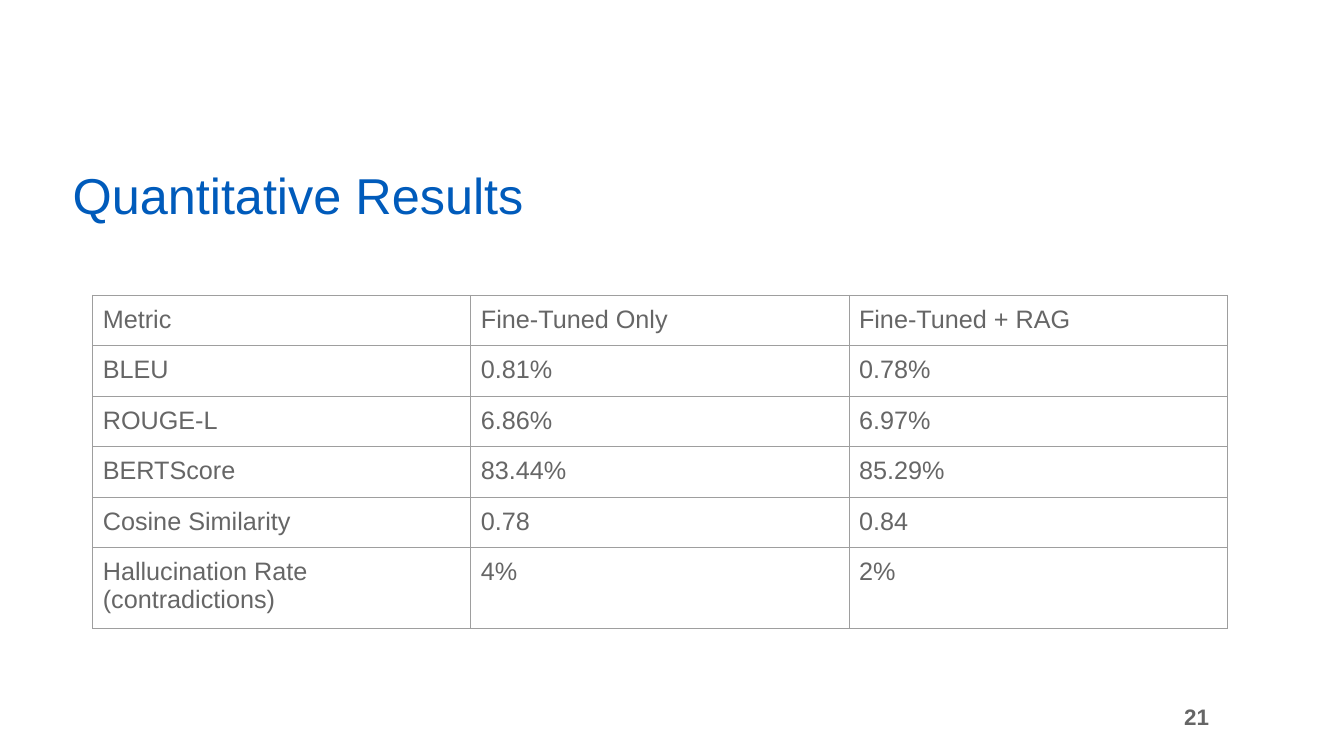
from dataclasses import dataclass

from lxml.etree import SubElement
from pptx import Presentation
from pptx.dml.color import RGBColor
from pptx.enum.text import MSO_ANCHOR as Anchor, PP_ALIGN as Align
from pptx.oxml.ns import qn
from pptx.util import Inches, Pt


@dataclass(frozen=True)
class Theme:
    font: str = "Arial"
    title_color: str = "005BBB"
    text_color: str = "666666"
    border_color: str = "9E9E9E"
    title_size: int = 36
    table_size: int = 18
    number_size: int = 16
    border_width: float = 0.75


RESULTS = [
    ("Metric", "Fine-Tuned Only", "Fine-Tuned + RAG"),
    ("BLEU", "0.81%", "0.78%"),
    ("ROUGE-L", "6.86%", "6.97%"),
    ("BERTScore", "83.44%", "85.29%"),
    ("Cosine Similarity", "0.78", "0.84"),
    ("Hallucination Rate (contradictions)", "4%", "2%"),
]


class SlideBuilder:
    """Adds styled elements to one slide."""

    def __init__(self, slide, theme):
        self.slide = slide
        self.theme = theme

    def add_run(self, paragraph, text, size, color, bold=False):
        run = paragraph.add_run()
        run.text = text
        run.font.name = self.theme.font
        run.font.size = Pt(size)
        run.font.bold = bold
        run.font.color.rgb = RGBColor.from_string(color)

    def add_title(self, text, left, top, width, height):
        title = self.slide.shapes.title
        title.left, title.top = Inches(left), Inches(top)
        title.width, title.height = Inches(width), Inches(height)
        frame = title.text_frame
        frame.word_wrap = True
        frame.vertical_anchor = Anchor.BOTTOM
        paragraph = frame.paragraphs[0]
        paragraph.alignment = Align.LEFT
        paragraph.line_spacing = 0.9
        paragraph.space_before = Pt(0)
        self.add_run(paragraph, text, self.theme.title_size, self.theme.title_color)

    def add_page_number(self, text, left, top, width, height):
        box = self.slide.shapes.add_textbox(
            Inches(left), Inches(top), Inches(width), Inches(height))
        frame = box.text_frame
        frame.word_wrap = True
        frame.vertical_anchor = Anchor.MIDDLE
        paragraph = frame.paragraphs[0]
        paragraph.alignment = Align.RIGHT
        self.add_run(paragraph, text, self.theme.number_size, self.theme.text_color, bold=True)

    def add_borders(self, cell):
        properties = cell._tc.get_or_add_tcPr()
        for side in ("a:lnL", "a:lnR", "a:lnT", "a:lnB"):
            line = SubElement(properties, qn(side), w=str(Pt(self.theme.border_width)))
            fill = SubElement(line, qn("a:solidFill"))
            SubElement(fill, qn("a:srgbClr"), val=self.theme.border_color)

    def add_table(self, rows, left, top, column_width, row_height):
        row_count, column_count = len(rows), len(rows[0])
        table = self.slide.shapes.add_table(
            row_count, column_count, Inches(left), Inches(top),
            Inches(column_width * column_count), Inches(row_height * row_count)).table
        table.first_row = table.horz_banding = False
        for row_index, row in enumerate(rows):
            for column_index, text in enumerate(row):
                self.fill_cell(table.cell(row_index, column_index), text)

    def fill_cell(self, cell, text):
        margin = Inches(0.1)
        cell.margin_left = cell.margin_right = margin
        cell.margin_top = cell.margin_bottom = margin
        self.add_borders(cell)
        cell.fill.background()
        paragraph = cell.text_frame.paragraphs[0]
        self.add_run(paragraph, text, self.theme.table_size, self.theme.text_color)


def main():
    presentation = Presentation()
    presentation.slide_width = Inches(13.33)
    presentation.slide_height = Inches(7.5)
    slide = presentation.slides.add_slide(presentation.slide_layouts[5])
    builder = SlideBuilder(slide, Theme())
    builder.add_page_number("21", 7.59, 6.91, 4.5, 0.4)
    builder.add_title("Quantitative Results", 0.62, 1.64, 11.85, 0.65)
    builder.add_table(RESULTS, 0.92, 2.93, column_width=3.75, row_height=0.42)
    presentation.save("out.pptx")


if __name__ == "__main__":
    main()
